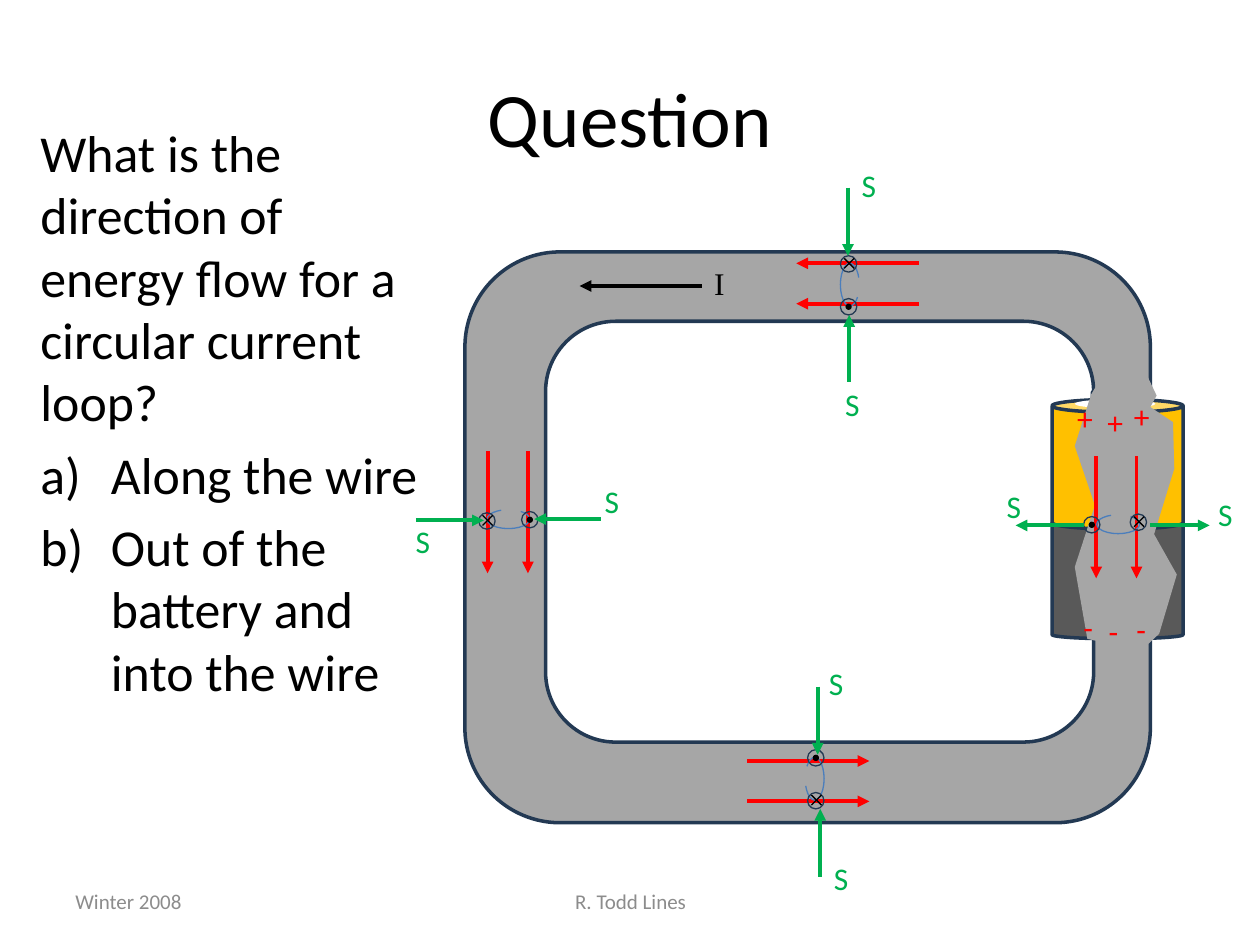
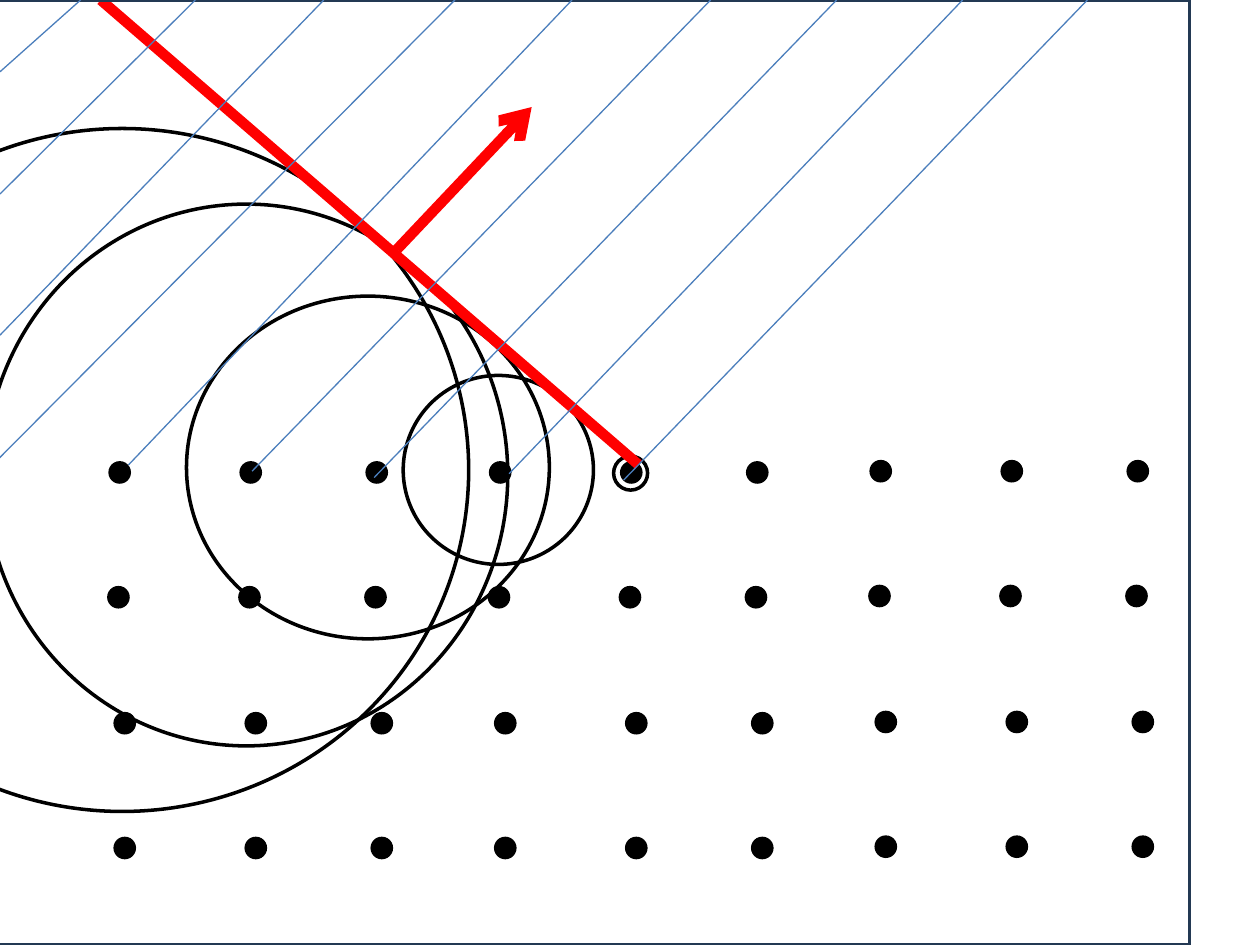
"""Build two physics slides: energy flow in a current loop, and wave fronts from a row of atoms."""
from lxml import etree
from pptx import Presentation
from pptx.dml.color import RGBColor
from pptx.enum.shapes import MSO_CONNECTOR, MSO_SHAPE
from pptx.enum.text import MSO_ANCHOR, MSO_AUTO_SIZE, PP_ALIGN
from pptx.oxml.ns import qn
from pptx.util import Cm, Pt

STRAIGHT = MSO_CONNECTOR.STRAIGHT
OVAL, CAN, ARC = MSO_SHAPE.OVAL, MSO_SHAPE.CAN, MSO_SHAPE.ARC
ROUND, RECT = MSO_SHAPE.ROUNDED_RECTANGLE, MSO_SHAPE.RECTANGLE
MIDDLE, TOP = MSO_ANCHOR.MIDDLE, MSO_ANCHOR.TOP
LEFT, CENTER = PP_ALIGN.LEFT, PP_ALIGN.CENTER
FIT, FIXED = MSO_AUTO_SIZE.SHAPE_TO_FIT_TEXT, MSO_AUTO_SIZE.NONE

COLORS = {
    "white": "FFFFFF", "black": "000000", "navy": "233953", "blue": "4B7EBC",
    "wire": "A6A6A6", "dark": "595959", "gold": "FFC000", "pale": "F2F2F2",
    "red": "FF0000", "green": "00B050", "muted": "8C8C8C",
}


def rgb(name):
    return RGBColor.from_string(COLORS[name])


def inch(value):
    return Cm(value * 2.54)


def write(p, text, size=18, color="black", font="Calibri", align=LEFT, before=0, number=None, indent=0):
    pPr = p._p.get_or_add_pPr()
    pPr.set("marL", str(inch(indent)))
    pPr.set("indent", str(-inch(indent)))
    if number:
        etree.SubElement(pPr, qn("a:buFont"), typeface=font)
        etree.SubElement(pPr, qn("a:buAutoNum"), type=number)
    else:
        etree.SubElement(pPr, qn("a:buNone"))
    p.alignment = align
    p.space_before = Pt(before)
    r = p.add_run()
    r.text = text
    r.font.size, r.font.name = Pt(size), font
    r.font.color.rgb = rgb(color)


class Deck:
    """Hold the presentation style and the current slide."""

    def __init__(self):
        self.prs = Presentation()
        self.prs.slide_width, self.prs.slide_height = Cm(25.4), Cm(19.05)
        self.s = None

    def slide(self, layout):
        self.s = self.prs.slides.add_slide(self.prs.slide_layouts[layout])

    def placeholder(self, index, box, anchor=TOP):
        sp = self.s.placeholders[index]
        sp.left, sp.top, sp.width, sp.height = map(inch, box)
        tf = sp.text_frame
        tf.auto_size, tf.vertical_anchor = FIXED, anchor
        return tf

    def title(self, text):
        tf = self.placeholder(0, (0.5, 0.3, 9, 1.25), MIDDLE)
        write(tf.paragraphs[0], text, size=44, align=CENTER)

    def body(self, box, question, answers):
        tf = self.placeholder(1, box)
        write(tf.paragraphs[0], question, size=29.6)
        for answer in answers:
            write(tf.add_paragraph(), answer, size=29.6, before=6, number="alphaLcParenR", indent=0.56)

    def footer(self, x, w, text, align=LEFT):
        tf = self.s.shapes.add_textbox(inch(x), inch(6.95), inch(w), inch(0.4)).text_frame
        tf.word_wrap, tf.vertical_anchor = True, MIDDLE
        write(tf.paragraphs[0], text, size=12, color="muted", align=align)

    def label(self, x, y, text, w=0.32, **fmt):
        tf = self.s.shapes.add_textbox(inch(x), inch(y), inch(w), inch(0.4)).text_frame
        tf.word_wrap, tf.auto_size = False, FIT
        write(tf.paragraphs[0], text, **fmt)

    def paint(self, sp, fill, line, width):
        sp.shadow.inherit = False
        if fill:
            sp.fill.solid()
            sp.fill.fore_color.rgb = rgb(fill)
        else:
            sp.fill.background()
        if line:
            sp.line.color.rgb, sp.line.width = rgb(line), Pt(width)
        else:
            sp.line.fill.background()

    def shape(self, kind, x, y, w, h, fill=None, line=None, width=2, adj=(), rotation=0):
        sp = self.s.shapes.add_shape(kind, inch(x), inch(y), inch(w), inch(h))
        for i, value in enumerate(adj):
            sp.adjustments[i] = value
        sp.rotation = rotation
        self.paint(sp, fill, line, width)

    def outline(self, points, fill):
        corners = [(inch(x), inch(y)) for x, y in points]
        fb = self.s.shapes.build_freeform(*corners[0])
        fb.add_line_segments(corners[1:], close=True)
        self.paint(fb.convert_to_shape(), fill, None, 0)

    def line(self, x1, y1, x2, y2, color, width=0.75, head=None):
        c = self.s.shapes.add_connector(STRAIGHT, inch(x1), inch(y1), inch(x2), inch(y2))
        c.line.color.rgb, c.line.width = rgb(color), Pt(width)
        if head:
            etree.SubElement(c.line._get_or_add_ln(), qn("a:tailEnd"), type=head)
        etree.SubElement(c._element.spPr, qn("a:effectLst"))

    def arrow(self, x1, y1, x2, y2, color):
        self.line(x1, y1, x2, y2, color, 2.25, "triangle")

    def field_out(self, x, y):
        self.shape(OVAL, x, y, 0.13, 0.13, line="navy", width=0.75)
        self.shape(OVAL, x + 0.04, y + 0.04, 0.05, 0.05, fill="black")

    def field_in(self, x, y):
        self.shape(OVAL, x, y, 0.13, 0.13, line="navy", width=0.75)
        self.line(x + 0.03, y + 0.02, x + 0.11, y + 0.1, "black")
        self.line(x + 0.11, y + 0.02, x + 0.03, y + 0.1, "black")

    def wire_section(self, currents, arc, rotation, dot, cross):
        for current in currents:
            self.arrow(*current, "red")
        self.shape(ARC, *arc, 0.15, 0.34, line="blue", width=0.75, adj=(34.88, 192.81), rotation=rotation)
        self.field_out(*dot)
        self.field_in(*cross)


def energy_flow(d):
    d.slide(1)
    d.title("Question")
    d.body((0.22, 0.91, 3.35, 4.95),
           "What is the direction of energy flow for a circular current loop?",
           ["Along the wire", "Out of the battery and into the wire"])
    d.footer(0.5, 2.33, "Winter 2008")
    d.footer(3.42, 3.17, "R. Todd Lines", CENTER)

    d.shape(ROUND, 3.69, 2, 5.44, 4.53, "wire", "navy")
    d.shape(ROUND, 4.33, 2.55, 4.35, 3.34, "white", "navy")
    d.shape(CAN, 8.35, 4.12, 1.04, 0.95, "dark", "navy", adj=[0.07])
    d.shape(CAN, 8.35, 3.17, 1.04, 1.03, "gold", "navy", adj=[0.1])
    d.shape(CAN, 8.67, 3.1, 0.37, 0.1, "pale", "navy")
    d.shape(OVAL, 8.53, 3.17, 0.64, 0.07, "white")
    d.arrow(5.57, 2.27, 4.6, 2.27, "black")
    d.label(5.57, 2.05, "I", w=0.29, font="Times New Roman")

    cutaway = [(8.66, 3.13), (8.53, 3.54), (8.69, 4.01), (8.53, 4.5), (8.63, 5.07),
               (9.05, 5.17), (9.2, 5.03), (9.34, 4.56), (9.16, 4.24), (9.32, 3.72),
               (9.31, 3.35), (9.13, 3.23), (9.18, 3.14), (9.09, 2.95), (8.75, 2.98)]
    d.outline(cutaway, "wire")
    for x, y in [(8.45, 3.12), (8.69, 3.15), (8.9, 3.1)]:
        d.label(x, y, "+", w=0.33, color="red")
    for x, y in [(8.5, 4.78), (8.7, 4.81), (8.92, 4.79)]:
        d.label(x, y, "-", w=0.28, color="red")

    d.wire_section([(7.29, y, 6.32, y) for y in (2.41, 2.09)],
                   (6.67, 2.09), 0, dot=(6.67, 2.37), cross=(6.67, 2.03))
    d.wire_section([(x, 3.58, x, 4.55) for x in (4.19, 3.87)],
                   (3.96, 3.95), 270, dot=(4.14, 4.06), cross=(3.8, 4.07))
    d.wire_section([(5.93, y, 6.9, y) for y in (6.04, 6.36)],
                   (6.39, 6.01), 180, dot=(6.41, 5.95), cross=(6.41, 6.29))
    d.wire_section([(x, 3.62, x, 4.59) for x in (9.02, 8.7)],
                   (8.8, 3.99), 270, dot=(8.6, 4.1), cross=(8.97, 4.08))

    energy_arrows = [
        ((8.6, 4.17, 8.06, 4.17), (7.89, 3.82)),
        ((9.13, 4.17, 9.6, 4.17), (9.57, 3.88)),
        ((4.77, 4.12, 4.24, 4.12), (4.7, 3.78)),
        ((3.3, 4.13, 3.84, 4.13), (3.2, 4.09)),
        ((6.74, 3.03, 6.74, 2.5), (6.61, 3.01)),
        ((6.73, 1.49, 6.73, 2.03), (6.74, 1.27)),
        ((6.49, 5.45, 6.49, 5.99), (6.48, 5.22)),
        ((6.51, 6.96, 6.51, 6.42), (6.52, 6.77)),
    ]
    for ends, (x, y) in energy_arrows:
        d.arrow(*ends, "green")
        d.label(x, y, "S", color="green")


def wave_fronts(d):
    d.slide(6)
    wavelets = [(4.87, 3.62, 0.27, 0.27), (3.2, 2.98, 1.51, 1.5), (1.48, 2.35, 2.88, 2.72),
                (-1.78, 1.02, 5.5, 5.42), (-0.12, 1.62, 4.15, 4.3)]
    for wavelet in wavelets:
        d.shape(OVAL, *wavelet, line="black")

    atom_columns = [0.86, 1.9, 2.9, 3.88, 4.92, 5.92, 6.9, 7.94, 8.94]
    atom_rows = [(0, 3.66), (-0.01, 4.65), (0.04, 5.65), (0.04, 6.64)]
    for shift, y in atom_rows:
        for i, x in enumerate(atom_columns):
            rise = 0.01 if i > 5 else 0
            d.shape(OVAL, x + shift, y - rise, 0.18, 0.18, fill="black")

    d.line(5.07, 3.69, 0.8, 0, "red", 6)
    d.line(3.15, 1.98, 4.22, 0.85, "red", 6, "arrow")
    d.shape(RECT, -0.04, 0, 9.48, 7.5, line="navy")

    rays = [(4.95, 3.81, 8.63), (2.97, 3.79, 6.64), (4.04, 3.76, 7.64),
            (1.02, 3.69, 4.54), (-0.02, 3.65, 3.61), (0, 2.66, 2.57),
            (2, 3.74, 5.64), (0, 1.54, 1.55), (0, 0.57, 0.64)]
    for x, y, x_top in rays:
        d.line(x, y, x_top, 0, "blue")


def main():
    d = Deck()
    energy_flow(d)
    wave_fronts(d)
    d.prs.save("out.pptx")


if __name__ == "__main__":
    main()
